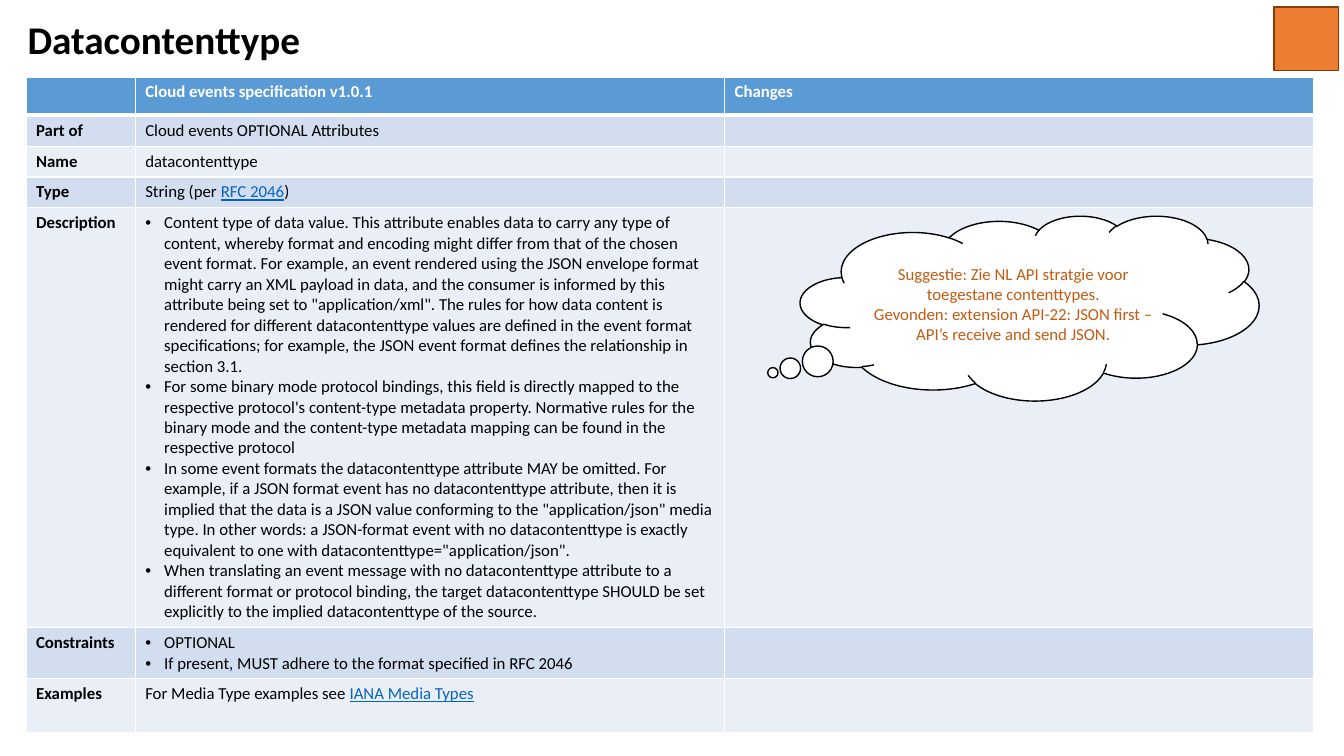
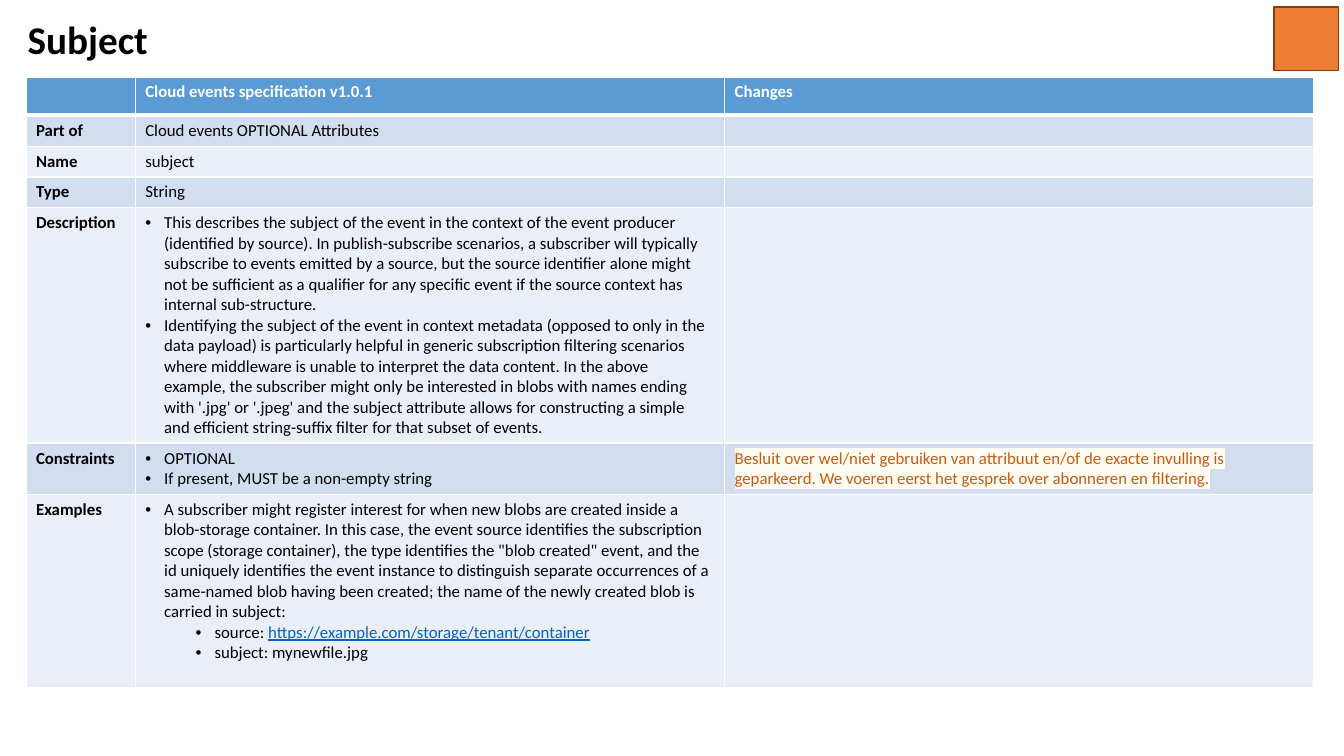
from lxml import etree
from pptx import Presentation
from pptx.dml.color import RGBColor
from pptx.enum.shapes import MSO_SHAPE
from pptx.enum.text import MSO_ANCHOR, MSO_AUTO_SIZE, PP_ALIGN
from pptx.oxml.ns import qn
from pptx.util import Pt

RECT, CLOUD = MSO_SHAPE.RECTANGLE, MSO_SHAPE.CLOUD_CALLOUT
MIDDLE, NO_FIT = MSO_ANCHOR.MIDDLE, MSO_AUTO_SIZE.NONE
LEFT, CENTER = PP_ALIGN.LEFT, PP_ALIGN.CENTER

# Shared look
FACE, SIZE = "Calibri", 12
BLACK, WHITE, RUST = "000000", "FFFFFF", "C55A11"
HEAD, BANDS = "5B9BD5", ("D2DEEF", "EAEFF7")
LINK, GLOW = "0563C1", "FFFCF3"
COLS = (78, 421, 421)
HEADER = ("", "Cloud events specification v1.0.1", "Changes")
PART = "Cloud events OPTIONAL Attributes"

# Content: a cell is a list of (level, runs); level None has no bullet.
# A run is (text, kind), where kind is "", "link" or "note".


def plain(*runs):
    return [(None, runs)]


def points(*texts):
    return [(0, [(text, "")]) for text in texts]


SLIDES = [
    {
        "title": "Datacontenttype",
        "rows": [
            ("Part of", 22, plain((PART, "")), []),
            ("Name", 22, plain(("datacontenttype", "")), []),
            ("Type", 22, plain(("String (per ", ""), ("RFC 2046", "link"), (")", "")), []),
            ("Description", 300, points(
                "Content type of data value. This attribute enables data to carry any type of "
                "content, whereby format and encoding might differ from that of the chosen event "
                "format. For example, an event rendered using the JSON envelope format might carry "
                "an XML payload in data, and the consumer is informed by this attribute being set "
                "to \"application/xml\". The rules for how data content is rendered for different "
                "datacontenttype values are defined in the event format specifications; for "
                "example, the JSON event format defines the relationship in section 3.1.",
                "For some binary mode protocol bindings, this field is directly mapped to the "
                "respective protocol's content-type metadata property. Normative rules for the "
                "binary mode and the content-type metadata mapping can be found in the "
                "respective protocol",
                "In some event formats the datacontenttype attribute MAY be omitted. For example, "
                "if a JSON format event has no datacontenttype attribute, then it is implied that "
                "the data is a JSON value conforming to the \"application/json\" media type. In "
                "other words: a JSON-format event with no datacontenttype is exactly equivalent "
                "to one with datacontenttype=\"application/json\".",
                "When translating an event message with no datacontenttype attribute to a "
                "different format or protocol binding, the target datacontenttype SHOULD be set "
                "explicitly to the implied datacontenttype of the source."), []),
            ("Constraints", 36.5, points(
                "OPTIONAL",
                "If present, MUST adhere to the format specified in RFC 2046"), []),
            ("Examples", 38.2, plain(
                ("For Media Type examples see ", ""), ("IANA Media Types", "link")), []),
        ],
        "cloud": (
            "Suggestie: Zie NL API stratgie voor toegestane contenttypes.",
            "Gevonden: extension API-22: JSON first – API’s receive and send JSON."),
    },
    {
        "title": "Subject",
        "rows": [
            ("Part of", 22, plain((PART, "")), []),
            ("Name", 22, plain(("subject", "")), []),
            ("Type", 22, plain(("String", "")), []),
            ("Description", 168, points(
                "This describes the subject of the event in the context of the event producer "
                "(identified by source). In publish-subscribe scenarios, a subscriber will "
                "typically subscribe to events emitted by a source, but the source identifier "
                "alone might not be sufficient as a qualifier for any specific event if the "
                "source context has internal sub-structure.",
                "Identifying the subject of the event in context metadata (opposed to only in the "
                "data payload) is particularly helpful in generic subscription filtering "
                "scenarios where middleware is unable to interpret the data content. In the above "
                "example, the subscriber might only be interested in blobs with names ending with "
                "'.jpg' or '.jpeg' and the subject attribute allows for constructing a simple and "
                "efficient string-suffix filter for that subset of events."), []),
            ("Constraints", 36.5, points(
                "OPTIONAL", "If present, MUST be a non-empty string"),
             plain((
                 "Besluit over wel/niet gebruiken van attribuut en/of de exacte invulling is "
                 "geparkeerd. We voeren eerst het gesprek over abonneren en filtering.", "note"))),
            ("Examples", 138.5, points(
                "A subscriber might register interest for when new blobs are created inside a "
                "blob-storage container. In this case, the event source identifies the "
                "subscription scope (storage container), the type identifies the \"blob created\" "
                "event, and the id uniquely identifies the event instance to distinguish separate "
                "occurrences of a same-named blob having been created; the name of the newly "
                "created blob is carried in subject:") + [
                (1, [("source: ", ""), ("https://example.com/storage/tenant/container", "link")]),
                (1, [("subject: mynewfile.jpg", "")])], []),
        ],
        "cloud": (),
    },
]


# Text
def rgb(code):
    return RGBColor.from_string(code)


def add_run(para, text, color=BLACK, size=SIZE, bold=False):
    run = para.add_run()
    run.text = text
    font = run.font
    font.name, font.size, font.bold = FACE, Pt(size), bold
    font.color.rgb = rgb(color)
    return run


def add_kind(para, text, kind, color, bold):
    run = add_run(para, text, {"link": LINK, "note": RUST}.get(kind, color), bold=bold)
    if kind == "link":
        run.font.underline = True
    if kind == "note":
        mark = etree.Element(qn("a:highlight"))
        etree.SubElement(mark, qn("a:srgbClr"), val=GLOW)
        run.font._element.find(qn("a:solidFill")).addnext(mark)


def add_dot(para, level):
    para.level = level
    props = para._p.get_or_add_pPr()
    props.set("marL", str(Pt(13.5 + 36 * level)))
    props.set("indent", str(-Pt(13.5)))
    etree.SubElement(props, qn("a:buFont"), typeface="Arial")
    etree.SubElement(props, qn("a:buChar"), char="•")


def next_para(frame, index):
    return frame.add_paragraph() if index else frame.paragraphs[0]


# Table
def add_edges(cell, top, low):
    props = cell._tc.get_or_add_tcPr()
    for side, width in (("L", 1), ("R", 1), ("T", top), ("B", low)):
        line = etree.SubElement(props, qn("a:ln" + side), w=str(Pt(width)))
        fill = etree.SubElement(line, qn("a:solidFill"))
        etree.SubElement(fill, qn("a:srgbClr"), val=WHITE)


def fill_cell(cell, paras, back, color, bold):
    cell.fill.solid()
    cell.fill.fore_color.rgb = rgb(back)
    frame = cell.text_frame
    for i, (level, runs) in enumerate(paras):
        para = next_para(frame, i)
        if level is not None:
            add_dot(para, level)
        for text, kind in runs:
            add_kind(para, text, kind, color, bold)
    if not paras:
        etree.SubElement(frame.paragraphs[0]._p, qn("a:endParaRPr"), sz=str(SIZE * 100))


def add_grid(slide, rows):
    head = [plain((text, "")) if text else [] for text in HEADER]
    lines = [(27.4, head)]
    lines += [(high, [plain((name, "")), text, change]) for name, high, text, change in rows]
    total = sum(high for high, _ in lines)
    table = slide.shapes.add_table(len(lines), len(COLS), Pt(18.6), Pt(55),
                                   Pt(sum(COLS)), Pt(total)).table
    for col, width in zip(table.columns, COLS):
        col.width = Pt(width)
    for r, (high, cells) in enumerate(lines):
        table.rows[r].height = Pt(high)
        back = BANDS[(r - 1) % 2] if r else HEAD
        for c, paras in enumerate(cells):
            cell = table.cell(r, c)
            add_edges(cell, 3 if r == 1 else 1, 1 if r else 3)
            fill_cell(cell, paras, back, BLACK if r else WHITE, r == 0 or c == 0)


# Other parts
def add_title(slide, text):
    title = slide.shapes.title
    title.left, title.top, title.width, title.height = Pt(12.5), Pt(5), Pt(428), Pt(50)
    frame = title.text_frame
    frame.auto_size, frame.word_wrap = NO_FIT, True
    frame.vertical_anchor = MIDDLE
    para = frame.paragraphs[0]
    para.alignment, para.line_spacing = LEFT, 0.9
    add_run(para, text, size=28, bold=True)


def add_box(slide, kind, box, fill, line):
    shape = slide.shapes.add_shape(kind, *map(Pt, box))
    shape.shadow.inherit = False
    shape.fill.solid()
    shape.fill.fore_color.rgb = rgb(fill)
    shape.line.color.rgb = rgb(line)
    shape.line.width = Pt(1)
    return shape


def add_cloud(slide, texts):
    cloud = add_box(slide, CLOUD, (571.7, 154, 327.6, 132), WHITE, BLACK)
    cloud.adjustments[0], cloud.adjustments[1] = -0.56, 0.35
    frame = cloud.text_frame
    frame.word_wrap, frame.vertical_anchor = True, MIDDLE
    for i, text in enumerate(texts):
        para = next_para(frame, i)
        para.alignment = CENTER
        add_run(para, text, RUST)


def main():
    deck = Presentation()
    deck.slide_width, deck.slide_height = Pt(960), Pt(540)
    for page in SLIDES:
        slide = deck.slides.add_slide(deck.slide_layouts[5])
        add_title(slide, page["title"])
        add_grid(slide, page["rows"])
        if page["cloud"]:
            add_cloud(slide, page["cloud"])
        add_box(slide, RECT, (910, 5, 46, 45.5), "ED7D31", "843C0B")
    deck.save("out.pptx")


if __name__ == "__main__":
    main()
